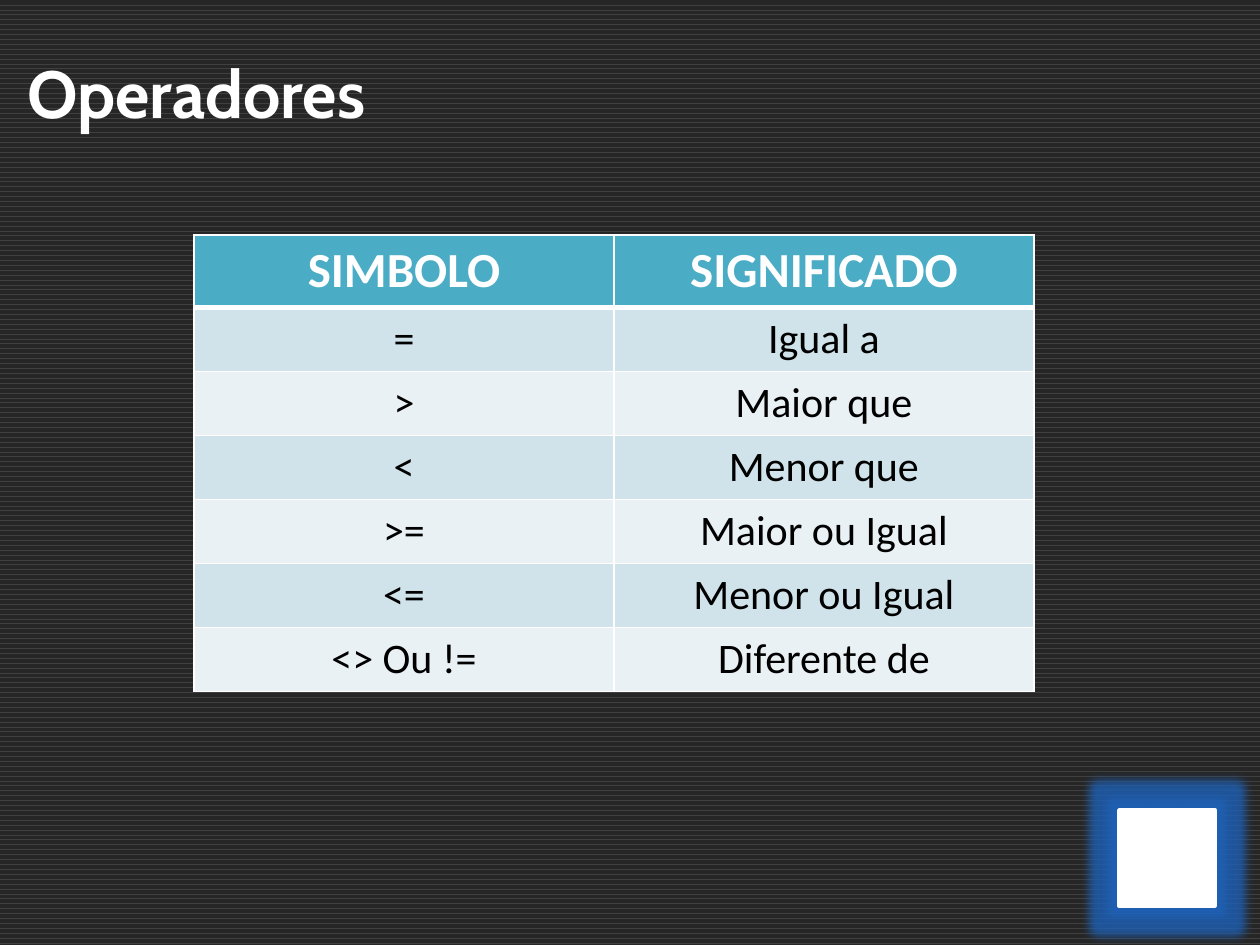
from lxml.etree import SubElement
from pptx import Presentation
from pptx.dml.color import RGBColor
from pptx.enum.dml import MSO_PATTERN
from pptx.enum.shapes import MSO_SHAPE
from pptx.enum.text import MSO_ANCHOR, PP_ALIGN
from pptx.oxml.ns import qn
from pptx.util import Emu, Pt

EMU_PER_PX = 914400 // 126
WHITE = "FFFFFF"
HEADER_FILL = "4BACC6"
BAND_FILLS = ("D0E3EA", "E9F1F5")
HEADER_HEIGHT, ROW_HEIGHT = 72, 64
OPERATORS = [
    ("SIMBOLO", "SIGNIFICADO"),
    ("=", "Igual a"),
    (">", "Maior que"),
    ("<", "Menor que"),
    (">=", "Maior ou Igual"),
    ("<=", "Menor ou Igual"),
    ("<> Ou !=", "Diferente de"),
]


def px(length):
    return Emu(length * EMU_PER_PX)


def color(value):
    return RGBColor.from_string(value)


def format_text(text_frame, size, font_name, text_color, bold, alignment):
    for paragraph in text_frame.paragraphs:
        paragraph.alignment = alignment
        for run in paragraph.runs:
            run.font.size = Pt(size)
            run.font.name = font_name
            run.font.bold = bold
            run.font.color.rgb = color(text_color)


def add_color(parent, value, opacity=100):
    """Append an RGB colour element with its opacity in percent."""
    element = SubElement(parent, qn("a:srgbClr"), val=value)
    if opacity < 100:
        SubElement(element, qn("a:alpha"), val=str(opacity * 1000))


def set_background(slide):
    fill = slide.background.fill
    fill.patterned()
    fill.pattern = MSO_PATTERN.WAVE
    fill.fore_color.rgb = color("404040")
    fill.back_color.rgb = color("262626")


def set_title(slide, text):
    title = slide.shapes.title
    title.left, title.top, title.width, title.height = px(15), px(46), px(1221), px(79)
    text_frame = title.text_frame
    text_frame.text = text
    text_frame.word_wrap = True
    text_frame.vertical_anchor = MSO_ANCHOR.TOP
    format_text(text_frame, 38, "Cabin", WHITE, True, PP_ALIGN.LEFT)


def set_borders(cell, top=1, bottom=1):
    """Draw white cell borders; widths are in points."""
    properties = cell._tc.get_or_add_tcPr()
    for side, width in (("L", 1), ("R", 1), ("T", top), ("B", bottom)):
        line = SubElement(properties, qn(f"a:ln{side}"), w=str(Pt(width)))
        add_color(SubElement(line, qn("a:solidFill")), WHITE)


def add_operator_table(slide):
    row_count, column_count = len(OPERATORS), len(OPERATORS[0])
    height = HEADER_HEIGHT + ROW_HEIGHT * (row_count - 1)
    table = slide.shapes.add_table(
        row_count, column_count, px(194), px(235), px(840), px(height)
    ).table
    for row_index, texts in enumerate(OPERATORS):
        is_header = row_index == 0
        table.rows[row_index].height = px(HEADER_HEIGHT if is_header else ROW_HEIGHT)
        fill = HEADER_FILL if is_header else BAND_FILLS[(row_index - 1) % 2]
        for column_index, text in enumerate(texts):
            cell = table.cell(row_index, column_index)
            set_borders(cell, top=3 if row_index == 1 else 1, bottom=3 if is_header else 1)
            cell.fill.solid()
            cell.fill.fore_color.rgb = color(fill)
            cell.text_frame.text = text
            format_text(
                cell.text_frame,
                28 if is_header else 24,
                "Calibri",
                WHITE if is_header else "000000",
                is_header,
                PP_ALIGN.CENTER,
            )


def add_glowing_square(slide):
    square = slide.shapes.add_shape(MSO_SHAPE.RECTANGLE, px(1119), px(810), px(96), px(96))
    square.fill.solid()
    square.fill.fore_color.rgb = color(WHITE)
    square.line.color.rgb = color(WHITE)
    square.line.width = Pt(2)
    square.shadow.inherit = False
    effects = square._element.spPr.find(qn("a:effectLst"))
    glow = SubElement(effects, qn("a:glow"), rad=str(Pt(11)))
    add_color(glow, "1F62B8", 80)


def main():
    presentation = Presentation()
    presentation.slide_width, presentation.slide_height = px(1260), px(945)
    slide = presentation.slides.add_slide(presentation.slide_layouts[5])
    set_background(slide)
    set_title(slide, "Operadores")
    add_glowing_square(slide)
    add_operator_table(slide)
    presentation.save("out.pptx")


if __name__ == "__main__":
    main()
